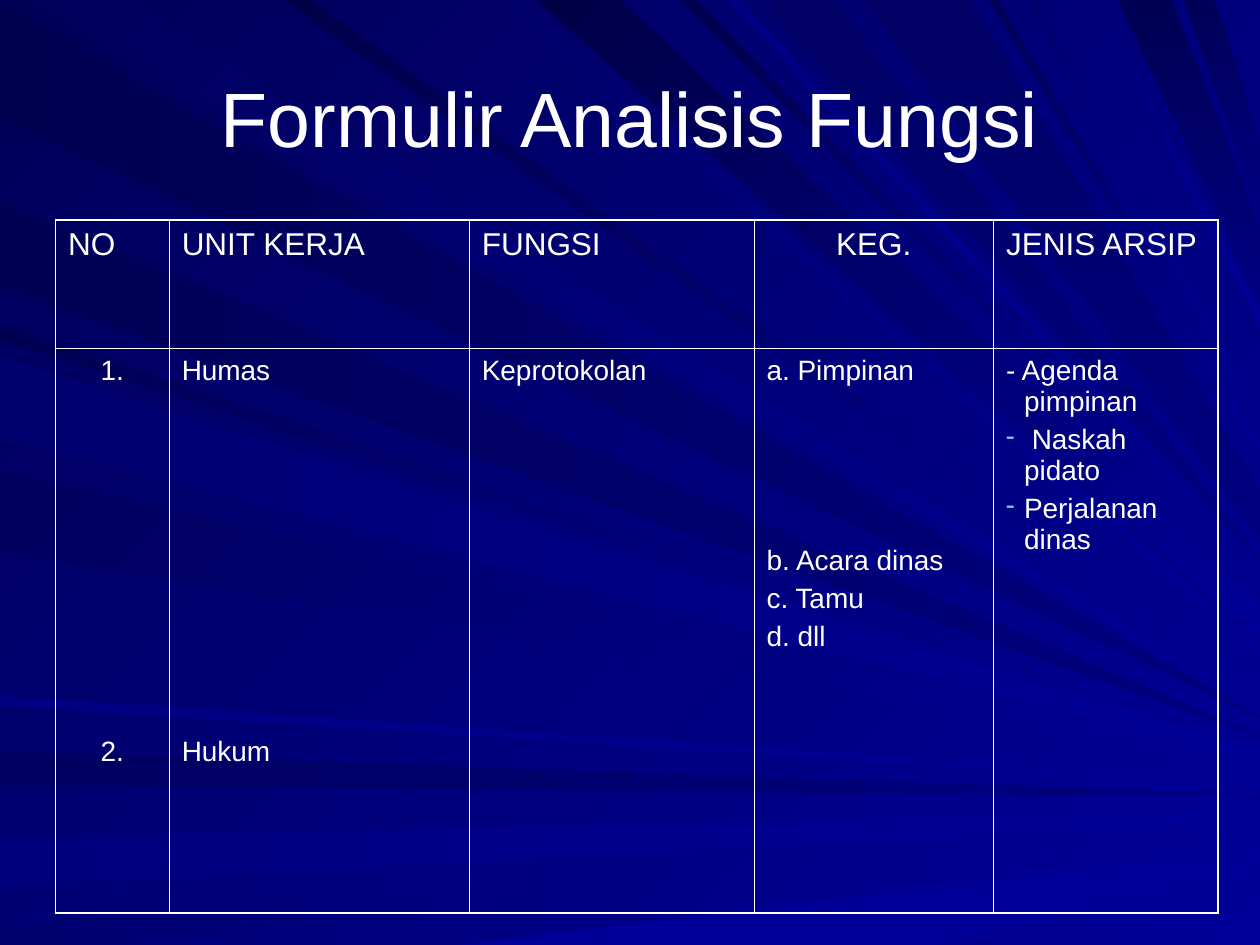
from lxml.etree import SubElement
from pptx import Presentation
from pptx.dml.color import RGBColor as RGB
from pptx.enum.text import MSO_ANCHOR as Anchor, PP_ALIGN as Align
from pptx.oxml.ns import qn
from pptx.util import Cm, Pt

COLORS = {"text": "FFFFFF", "border": "FFFFFF", "bullet": "86D1EC",
          "back": "000058", "mid": "000080", "glow": "000099"}
UNIT = Cm(0.0254)  # the rays lie on a grid of 1000 by 750 units


def paint(fill, start, end, angle):
    fill.gradient()
    fill.gradient_angle = -angle % 360
    for stop, color in zip(fill.gradient_stops, (start, end)):
        stop.color.rgb = RGB.from_string(color)


def write(para, text, size, align=Align.LEFT, before=0):
    para.add_run().text = text
    para.alignment = align
    para.space_before = Pt(before)
    para.font.size = Pt(size)
    para.font.name = "Arial"
    para.font.color.rgb = RGB.from_string(COLORS["text"])


deck = Presentation()
deck.slide_width, deck.slide_height = Cm(25.4), Cm(19.05)
page = deck.slides.add_slide(deck.slide_layouts[6])
paint(page.background.fill, COLORS["back"], COLORS["glow"], 45)

# Light rays run from a slide edge to the right side:
# edge, span on that edge, tip and its depth, blue of the start, end, direction
angles = {"flat": 0, "slant": 45, "steep": 90}
rays = [
    ("left", 2, 93, 569, 1, "51", "mid", "flat"),
    ("top", 26, 101, 562, 1, "5D", "glow", "slant"),
    ("left", 596, 623, 631, 1, "61", "mid", "flat"),
    ("left", 665, 704, 643, 8, "7D", "glow", "flat"),
    ("left", 735, 755, 662, 1, "6F", "glow", "flat"),
    ("bottom", 364, 742, 672, 22, "99", "glow", "flat"),
    ("left", 258, 270, 589, 1, "53", "glow", "slant"),
    ("left", 159, 228, 584, 1, "55", "mid", "flat"),
    ("top", 398, 416, 515, 6, "6B", "glow", "slant"),
    ("top", 426, 492, 479, 28, "47", "glow", "slant"),
    ("top", 540, 552, 463, 1, "4F", "glow", "slant"),
    ("top", 606, 661, 445, 1, "65", "mid", "steep"),
    ("top", 887, 930, 183, 54, "55", "mid", "steep"),
    ("top", 939, 964, 114, 53, "59", "mid", "steep"),
    ("left", 278, 342, 596, 6, "61", "glow", "slant"),
    ("left", 374, 437, 605, 1, "5D", "glow", "slant"),
    ("left", 552, 560, 621, 2, "82", "glow", "flat"),
    ("top", 225, 247, 547, 5, "4A", "glow", "slant"),
    ("top", 577, 588, 453, 1, "82", "glow", "slant"),
    ("top", 686, 770, 390, 38, "65", "mid", "steep"),
    ("top", 785, 792, 354, 6, "58", "glow", "slant"),
    ("top", 815, 824, 335, 1, "6F", "glow", "slant"),
    ("top", 865, 872, 249, 9, "79", "glow", "slant"),
    ("left", 283, 347, 601, 5, "6F", "glow", "flat"),
]
for edge, near, far, tip, depth, blue, end, direction in rays:
    if edge == "left":
        base = [(0, near), (0, far)]
    else:
        base = [(x, 750 if edge == "bottom" else 0) for x in (near, far)]
    points = [(1000, tip), (1000, tip + depth)]
    if edge != "top":
        points.reverse()
    builder = page.shapes.build_freeform(*base[0], scale=UNIT)
    builder.add_line_segments(base[1:] + points, close=True)
    ray = builder.convert_to_shape()
    ray.shadow.inherit = False
    ray.line.fill.background()
    paint(ray.fill, f"0000{blue}", COLORS[end], angles[direction])

# Title
title = page.shapes.add_textbox(Cm(1.27), Cm(0.76), Cm(22.86), Cm(3.18)).text_frame
title.word_wrap = True
title.vertical_anchor = Anchor.MIDDLE
write(title.paragraphs[0], "Formulir Analisis Fungsi", 44, Align.CENTER)

# Table: each line is text, space before, bulleted or not
header = ["NO", "UNIT KERJA", "FUNGSI", "KEG.", "JENIS ARSIP"]
body = [
    [("1.", 4, False), ("2.", 200, False)],
    [("Humas", 4, False), ("Hukum", 200, False)],
    [("Keprotokolan", 4, False)],
    [("a. Pimpinan", 4, False), ("b. Acara dinas", 91, False),
     ("c. Tamu", 4, False), ("d. dll", 4, False)],
    [("- Agenda pimpinan", 4, False), (" Naskah pidato", 4, True),
     ("Perjalanan dinas", 4, True)],
]
rows = [[[(text, 4.5, False)] for text in header], body]
sizes = [18, 16]
centered = {(0, 3), (1, 0)}
indents = {(1, 3): Cm(0.48), (1, 4): Cm(0.36)}
widths = [2.29, 6.05, 5.74, 4.83, 4.52]
heights = [2.59, 11.38]

table = page.shapes.add_table(len(rows), len(widths), Cm(1.12), Cm(4.44),
                              Cm(sum(widths)), Cm(sum(heights))).table
table.first_row = table.horz_banding = False
for column, width in zip(table.columns, widths):
    column.width = Cm(width)
for row, height in zip(table.rows, heights):
    row.height = Cm(height)

for r, row in enumerate(rows):
    for c, lines in enumerate(row):
        cell = table.cell(r, c)
        frame = cell.text_frame
        align = Align.CENTER if (r, c) in centered else Align.LEFT
        for i, (text, before, bulleted) in enumerate(lines):
            para = frame.add_paragraph() if i else frame.paragraphs[0]
            props = para._p.get_or_add_pPr()
            indent = indents.get((r, c), 0)
            props.set("marL", str(indent))
            props.set("indent", str(-indent))
            if bulleted:
                tint = SubElement(props, qn("a:buClr"))
                SubElement(tint, qn("a:srgbClr"), val=COLORS["bullet"])
                SubElement(props, qn("a:buSzPct"), val="90000")
                SubElement(props, qn("a:buChar"), char="-")
            write(para, text, sizes[r], align, before)

        # Borders: thicker around the outside
        outer = {"L": c == 0, "R": c == len(widths) - 1,
                 "T": r == 0, "B": r == len(rows) - 1}
        for side, thick in outer.items():
            line = SubElement(cell._tc.get_or_add_tcPr(), qn(f"a:ln{side}"),
                              w=str(Pt(1.08 if thick else 0.45)))
            solid = SubElement(line, qn("a:solidFill"))
            SubElement(solid, qn("a:srgbClr"), val=COLORS["border"])
        cell.fill.background()

deck.save("out.pptx")
